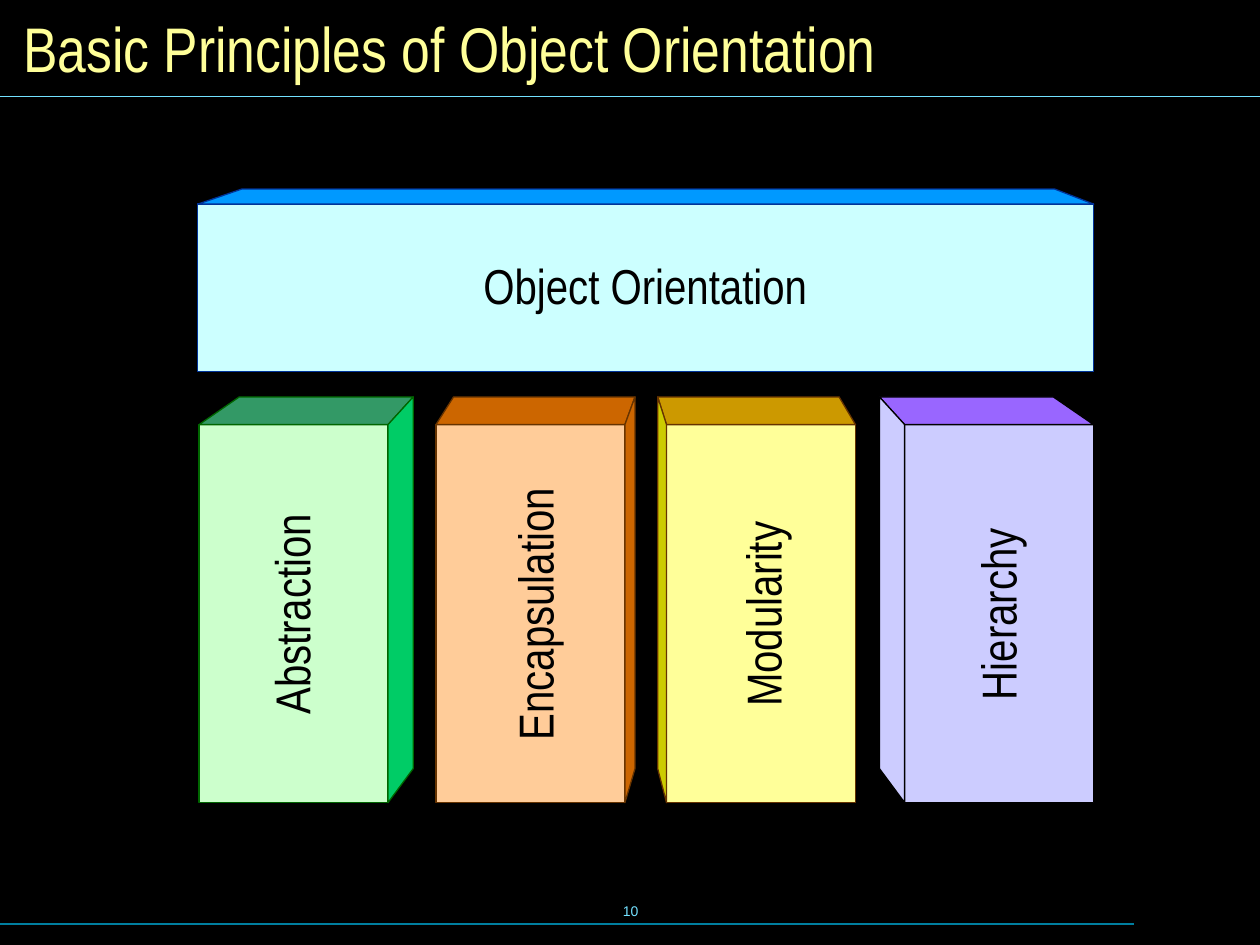
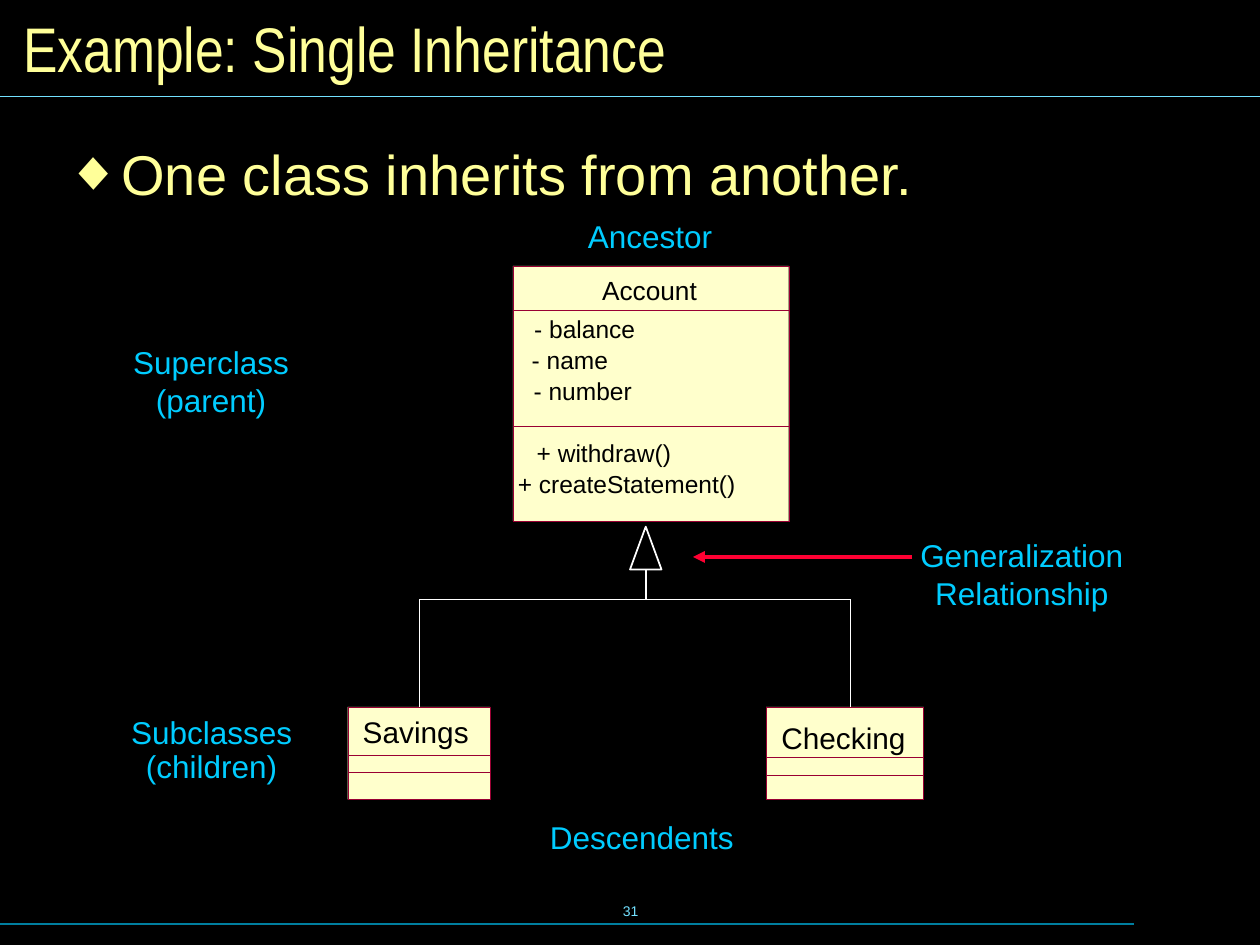
"""Build two slides on object orientation: its four pillars and single inheritance."""
from dataclasses import dataclass

from lxml.etree import SubElement
from pptx import Presentation
from pptx.dml.color import RGBColor
from pptx.enum.shapes import MSO_CONNECTOR, MSO_SHAPE
from pptx.enum.text import MSO_ANCHOR, MSO_AUTO_SIZE, PP_ALIGN
from pptx.oxml.ns import qn
from pptx.util import Inches, Pt


@dataclass(frozen=True)
class Theme:
    background: str = "000000"
    heading: str = "FFFF99"
    rule: str = "73E1FF"
    footer_rule: str = "007E9F"
    ink: str = "000000"
    tree: str = "FFFFFF"
    arrow: str = "FF0033"
    note: str = "00CCFF"
    class_fill: str = "FFFFCC"
    class_line: str = "990033"
    beam_front: str = "CCFFFF"
    beam_top: str = "0099FF"
    beam_line: str = "003399"
    body_font: str = "Arial"
    narrow_font: str = "Arial Narrow"
    title_size: float = 36
    body_size: float = 32
    block_size: float = 28
    note_size: float = 18
    subclass_size: float = 17
    class_size: float = 15
    member_size: float = 14
    number_size: float = 8
    thin: float = 0.75
    hairline: float = 0.1


theme = Theme()
presentation = Presentation()
presentation.slide_width = Inches(10)
presentation.slide_height = Inches(7.5)
column = presentation.slide_width / 100
row = presentation.slide_height / 75


def on_grid(*lengths):
    """Turn alternating columns and rows into slide units."""
    return [round(length * (row if index % 2 else column)) for index, length in enumerate(lengths)]


def add_text(slide, text, box, size, color, font=theme.body_font, align=PP_ALIGN.CENTER,
             anchor=MSO_ANCHOR.TOP, inset=(1.2, 0.6), wrap=True):
    """Add a text box with one paragraph per line of text."""
    shape = slide.shapes.add_textbox(*on_grid(*box))
    frame = shape.text_frame
    frame.word_wrap = wrap
    frame.auto_size = MSO_AUTO_SIZE.NONE if wrap else MSO_AUTO_SIZE.SHAPE_TO_FIT_TEXT
    frame.vertical_anchor = anchor
    frame.margin_left, frame.margin_top = on_grid(*inset)
    frame.margin_right, frame.margin_bottom = on_grid(*inset)
    frame.text = text
    for paragraph in frame.paragraphs:
        paragraph.alignment = align
        paragraph.font.size = Pt(size)
        paragraph.font.name = font
        paragraph.font.color.rgb = RGBColor.from_string(color)
    return shape


shared_lines = [
    (0, 73.33, 90, 73.33, theme.footer_rule, theme.thin, "none"),
    (0, 7.64, 100, 7.64, theme.rule, theme.thin, "none"),
]
inheritance_lines = [
    (33.3, 57.2, 33.3, 47.5, theme.tree, theme.hairline, "none"),
    (67.5, 56.3, 67.5, 47.5, theme.tree, theme.hairline, "none"),
    (33.3, 47.6, 67.5, 47.6, theme.tree, theme.thin, "none"),
    (51.25, 47.5, 51.25, 45.2, theme.tree, 1, "none"),
    (72.4, 44.2, 55, 44.2, theme.arrow, 2.25, "triangle"),
]
slides = []
for title, number, lines in [
    ("Basic Principles of Object Orientation", "10", shared_lines),
    ("Example: Single Inheritance", "31", shared_lines + inheritance_lines),
]:
    slide = presentation.slides.add_slide(presentation.slide_layouts[6])
    slides.append(slide)
    slide.background.fill.solid()
    slide.background.fill.fore_color.rgb = RGBColor.from_string(theme.background)
    for *ends, color, width, head in lines:
        connector = slide.shapes.add_connector(MSO_CONNECTOR.STRAIGHT, *on_grid(*ends))
        connector.line.color.rgb = RGBColor.from_string(color)
        connector.line.width = Pt(width)
        properties = connector.element.spPr
        SubElement(properties.find(qn("a:ln")), qn("a:tailEnd"), type=head)
        SubElement(properties, qn("a:effectLst"))
    add_text(slide, number, (34.2, 69.8, 31.7, 5), theme.number_size, theme.rule,
             anchor=MSO_ANCHOR.MIDDLE, inset=(1, 0.5))
    add_text(slide, title, (0.85, 0.85, 98.4, 5.8), theme.title_size, theme.heading,
             theme.narrow_font, PP_ALIGN.LEFT, MSO_ANCHOR.MIDDLE, (1, 0.5))
principles, inheritance = slides

pillar_width, pillar_height = 15, 30
pillar_back, pillar_top, pillar_foot = 31.5, 33.7, 61
label_length, label_height = 29.8, 5.9
panels = [(principles, MSO_SHAPE.RECTANGLE, (15.7, 16.2, 71.1, 13.3),
           theme.beam_front, theme.beam_line, theme.thin)]
faces = [([(86.8, 16.2), (83.7, 15), (19.2, 15), (15.7, 16.2)], theme.beam_top, theme.beam_line)]
block_labels = [("Object Orientation", 51.2, 22.65, 0)]
for name, left, depth, skew, label_center, front, top, side, outline in [
    ("Abstraction", 15.8, 2, 3.2, 23.1, "CCFFCC", "339966", "00CC66", "006600"),
    ("Encapsulation", 34.6, 0.8, 1.4, 42.4, "FFCC99", "CC6600", "CC6600", "663300"),
    ("Modularity", 52.9, -0.7, -1.3, 60.5, "FFFF99", "CC9900", "CCCC00", "663300"),
    ("Hierarchy", 71.8, -2, -3.2, 79.15, "CCCCFF", "9966FF", "CCCCFF", "000000"),
]:
    right = left + pillar_width
    near, far = (right, left) if depth > 0 else (left, right)
    back_corner = (near + depth, pillar_back)
    panels.append((principles, MSO_SHAPE.RECTANGLE, (left, pillar_top, pillar_width, pillar_height),
                   front, outline, theme.thin))
    faces.append(([(far, pillar_top), (far + skew, pillar_back), back_corner, (near, pillar_top)],
                  top, outline))
    faces.append(([back_corner, (near, pillar_top), (near, pillar_top + pillar_height),
                   (near + depth, pillar_foot)], side, outline))
    block_labels.append((name, label_center, 48.75, 270))

for left, top, width, bottom, dividers in [
    (60.8, 56.1, 12.5, 63.45, (60.1, 61.5)),
    (27.6, 56.1, 11.3, 63.45, (59.9, 61.3)),
    (40.7, 21.1, 21.9, 41.35, (24.6, 33.8)),
]:
    for edge in (top, *dividers):
        panels.append((inheritance, MSO_SHAPE.RECTANGLE, (left, edge, width, bottom - edge),
                       theme.class_fill if edge == top else None, theme.class_line,
                       theme.hairline))
panels.append((inheritance, MSO_SHAPE.ISOSCELES_TRIANGLE, (50, 41.8, 2.5, 3.4),
               None, theme.tree, 1))

for slide, preset, box, fill, outline, width in panels:
    shape = slide.shapes.add_shape(preset, *on_grid(*box))
    shape.shadow.inherit = False
    shape.line.color.rgb = RGBColor.from_string(outline)
    shape.line.width = Pt(width)
    if fill:
        shape.fill.solid()
        shape.fill.fore_color.rgb = RGBColor.from_string(fill)
    else:
        shape.fill.background()

for corners, fill, outline in faces:
    points = [on_grid(*corner) for corner in corners]
    builder = principles.shapes.build_freeform(*points[0])
    builder.add_line_segments(points[1:], close=True)
    face = builder.convert_to_shape()
    face.shadow.inherit = False
    face.fill.solid()
    face.fill.fore_color.rgb = RGBColor.from_string(fill)
    face.line.color.rgb = RGBColor.from_string(outline)
    face.line.width = Pt(theme.thin)

for text, center, middle, rotation in block_labels:
    box = (center - label_length / 2, middle - label_height / 2, label_length, label_height)
    label = add_text(principles, text, box, theme.block_size, theme.ink, theme.narrow_font)
    label.rotation = rotation

body = add_text(inheritance, "One class inherits from another.", (4, 11.5, 92.9, 55.2),
                theme.body_size, theme.heading, align=PP_ALIGN.LEFT)
paragraph = body.text_frame.paragraphs[0]
paragraph_properties = paragraph._p.get_or_add_pPr()
indent = Inches(0.37)
paragraph_properties.set("marL", str(indent))
paragraph_properties.set("indent", str(-indent))
bullet_color = SubElement(paragraph_properties, qn("a:buClr"))
SubElement(bullet_color, qn("a:srgbClr"), val=theme.heading)
SubElement(paragraph_properties, qn("a:buFont"), typeface=theme.body_font)
SubElement(paragraph_properties, qn("a:buChar"), char="◆")
paragraph.line_spacing = 0.8

for text, box in [
    ("Superclass (parent)", (6.9, 26.65, 19.7, 7.2)),
    ("Generalization Relationship", (71.25, 41.95, 19.7, 7.2)),
    ("Ancestor", (41.75, 16.65, 19.7, 4.2)),
    ("Descendents", (41.1, 64.3, 19.7, 4.2)),
]:
    add_text(inheritance, text, box, theme.note_size, theme.note)

subclasses = add_text(inheritance, "Subclasses\n(children)", (6.95, 56, 19.7, 6.5),
                      theme.note_size, theme.note)
children = subclasses.text_frame.paragraphs[1]
children.line_spacing = 0.25
children.space_before = Pt(11.2)

for text, box, size in [
    ("Checking", (60.8, 57.1, 12.3, 2.8), theme.subclass_size),
    ("Savings", (27.6, 56.65, 10.8, 2.8), theme.subclass_size),
    ("Account", (40.7, 21.8, 21.7, 2.5), theme.class_size),
]:
    add_text(inheritance, text, box, size, theme.ink, inset=(0, 0))

for text, left, top in [
    ("- balance", 42.4, 24.9),
    ("- name", 42.2, 27.4),
    ("- number", 42.35, 29.85),
    ("+ withdraw()", 42.6, 34.8),
    ("+ createStatement()", 41.1, 37.2),
]:
    add_text(inheritance, text, (left, top, 20, 2.3), theme.member_size, theme.ink,
             align=PP_ALIGN.LEFT, inset=(0, 0))

presentation.save("out.pptx")
